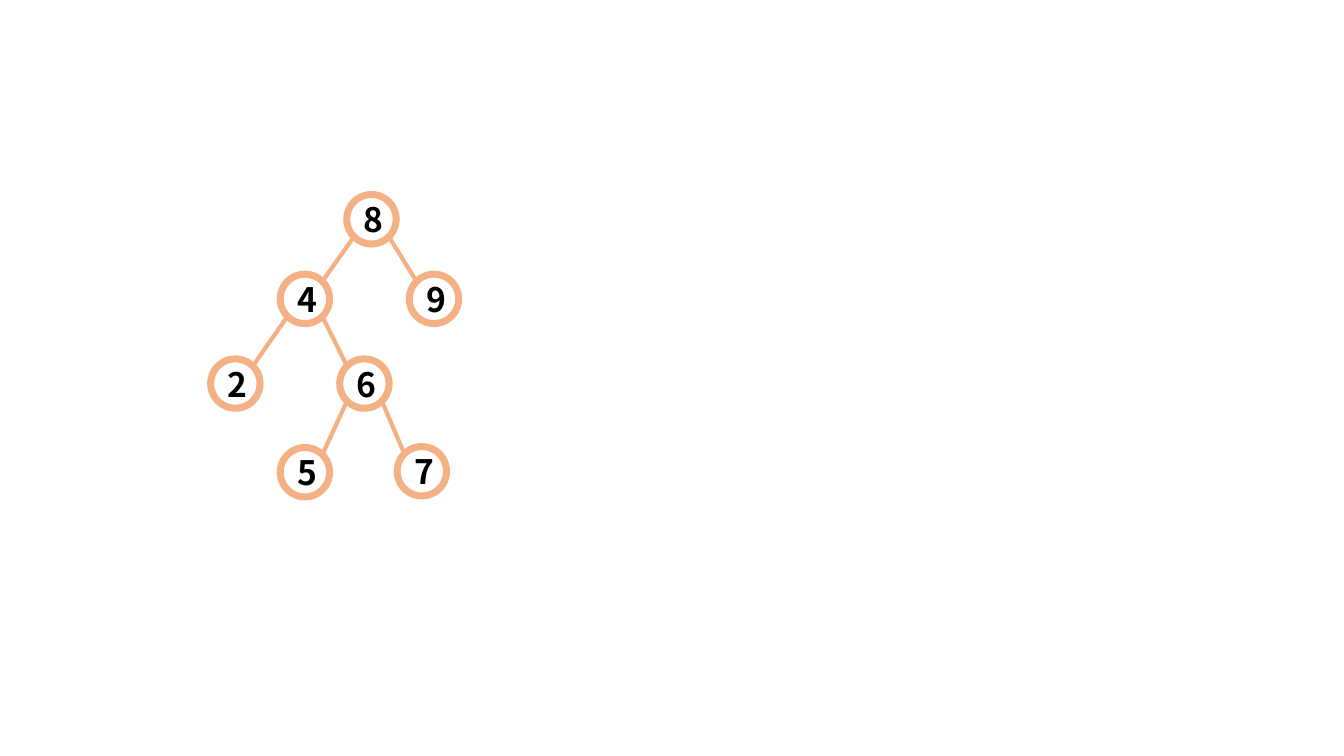
from dataclasses import dataclass
from math import copysign, sqrt

from lxml.etree import SubElement
from pptx import Presentation
from pptx.dml.color import RGBColor
from pptx.enum.shapes import MSO_CONNECTOR as Connector, MSO_SHAPE as Shape
from pptx.enum.text import MSO_ANCHOR as Anchor, PP_ALIGN as Align
from pptx.oxml.ns import qn
from pptx.util import Pt


@dataclass(frozen=True)
class Theme:
    branch: RGBColor = RGBColor(0xF4, 0xB1, 0x83)
    ink: RGBColor = RGBColor(0, 0, 0)
    font: str = "Noto Sans CJK SC"
    key_size: float = 24
    edge_width: float = 3
    ring_width: float = 5
    diameter: float = 35.3


def apply(target, formats):
    for name, value in formats.items():
        setattr(target, name, value)


class TreeSlide:
    def __init__(self, slide, theme):
        self.shapes = slide.shapes
        self.theme = theme

    def outline(self, line, width):
        line.color.rgb = self.theme.branch
        line.width = Pt(width)

    def edge(self, parent, child):
        reach = self.theme.diameter / 2 / sqrt(2)
        (parent_x, parent_y), (child_x, child_y) = parent, child
        side = copysign(reach, child_x - parent_x)
        ends = (parent_x + side, parent_y + reach, child_x - side, child_y - reach)
        branch = self.shapes.add_connector(Connector.STRAIGHT, *map(Pt, ends))
        self.outline(branch.line, self.theme.edge_width)
        SubElement(branch.line._get_or_add_ln().getparent(), qn("a:effectLst"))

    def node(self, key, center):
        size = self.theme.diameter
        left, top = (value - size / 2 for value in center)
        ring = self.shapes.add_shape(Shape.OVAL, *map(Pt, (left, top, size, size)))
        ring.shadow.inherit = False
        ring.fill.background()
        self.outline(ring.line, self.theme.ring_width)
        ring.text_frame.vertical_anchor = Anchor.MIDDLE
        label = ring.text_frame.paragraphs[0]
        label.text = str(key)
        label.alignment = Align.CENTER
        apply(label.font, {"name": self.theme.font, "size": Pt(self.theme.key_size), "bold": True})
        label.font.color.rgb = self.theme.ink


CENTERS = {
    8: (265.3, 156.6),
    9: (310, 213.5),
    4: (217.8, 213.5),
    7: (301.3, 336.6),
    5: (217.8, 337.3),
    6: (260.3, 274),
    2: (168.1, 274),
}
CHILDREN = {8: (4, 9), 4: (6, 2), 6: (7, 5)}


def main():
    deck = Presentation()
    apply(deck, {"slide_width": Pt(960), "slide_height": Pt(540)})
    tree = TreeSlide(deck.slides.add_slide(deck.slide_layouts[6]), Theme())
    for parent, children in CHILDREN.items():
        for child in children:
            tree.edge(CENTERS[parent], CENTERS[child])
    for key, center in CENTERS.items():
        tree.node(key, center)
    deck.save("out.pptx")


if __name__ == "__main__":
    main()
